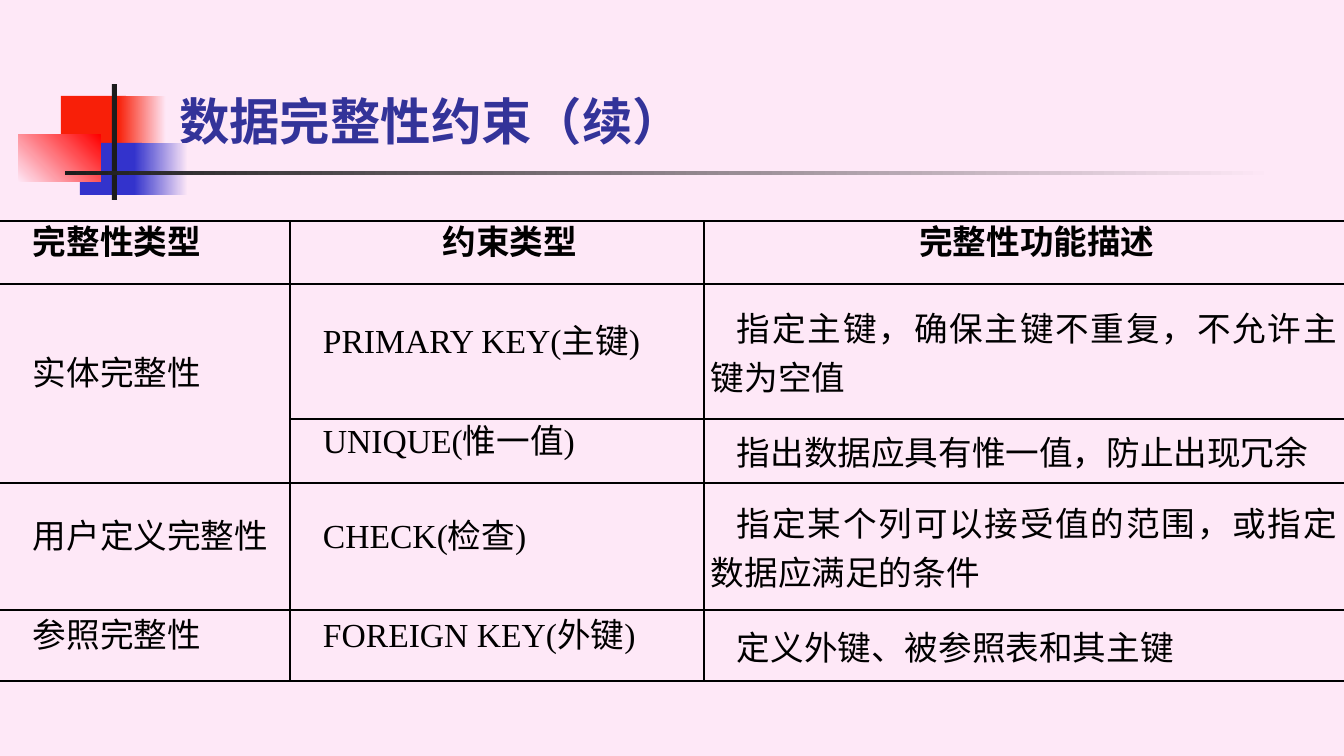
from lxml.etree import SubElement
from pptx import Presentation
from pptx.dml.color import RGBColor
from pptx.enum.shapes import MSO_SHAPE as Shape
from pptx.enum.text import MSO_ANCHOR as Anchor, PP_ALIGN as Align
from pptx.oxml.ns import qn
from pptx.util import Emu, Pt

PX = 914400 / 100.8
FONT = "Times New Roman"
PINK, RED, BLUE, DARK, BLACK = "FEE8F7", "F81F08", "3333CC", "1C1C1C", "000000"

# x, y, width, height, colour, optional end colour, optional angle
ORNAMENT = [
    (43, 12, 65, 52, RED),
    (100, 12, 48, 52, RED, PINK),
    (62, 59, 62, 52, BLUE),
    (116, 59, 54, 52, BLUE, PINK),
    (0, 51, 83, 47, PINK, "FF0000", 45),
    (94, 0, 5, 116, DARK),
    (47, 87, 1210, 4, DARK, PINK),
]
COLUMNS = [290, 414, 640]
ROWS = [63, 135, 64, 127, 71]
CONSTRAINTS = [
    ("完整性类型", "约束类型", "完整性功能描述"),
    ("实体完整性", "PRIMARY KEY(主键)", "指定主键，确保主键不重复，不允许主键为空值"),
    ("", "UNIQUE(惟一值)", "指出数据应具有惟一值，防止出现冗余"),
    ("用户定义完整性", "CHECK(检查)", "指定某个列可以接受值的范围，或指定数据应满足的条件"),
    ("参照完整性", "FOREIGN KEY(外键)", "定义外键、被参照表和其主键"),
]


def px(value):
    return Emu(round(value * PX))


def rgb(code):
    return RGBColor.from_string(code)


def style_text(para, size, color, bold):
    for span in para.runs:
        font = span.font
        font.name, font.size, font.bold = FONT, Pt(size), bold
        font.color.rgb = rgb(color)


def add_block(page, x, y, width, height, color, end_color=None, angle=0):
    block = page.shapes.add_shape(Shape.RECTANGLE, px(x), px(y), px(width), px(height))
    block.shadow.inherit = False
    block.line.fill.background()
    if end_color is None:
        block.fill.solid()
        block.fill.fore_color.rgb = rgb(color)
        return
    block.fill.gradient()
    block.fill.gradient_angle = angle
    for stop, code in zip(block.fill.gradient_stops, (color, end_color)):
        stop.color.rgb = rgb(code)


def add_ornament(page, left, top):
    for x, y, *rest in ORNAMENT:
        add_block(page, left + x, top + y, *rest)


def add_title(page, left, top, width, height, text):
    title = page.shapes.title
    title.left, title.top, title.width, title.height = map(px, (left, top, width, height))
    frame = title.text_frame
    frame.text = text
    frame.vertical_anchor = Anchor.BOTTOM
    para = frame.paragraphs[0]
    para.alignment = Align.LEFT
    style_text(para, 36, "333399", True)


def set_border(cell, side, points):
    """Draw one side of a cell; zero points leaves it open."""
    line = SubElement(cell._tc.get_or_add_tcPr(), qn(f"a:ln{side}"), w=str(Pt(points)))
    if points:
        fill = SubElement(line, qn("a:solidFill"))
        SubElement(fill, qn("a:srgbClr"), val=BLACK)
    else:
        SubElement(line, qn("a:noFill"))


def fill_cell(cell, text, row, column):
    # Outer sides are open left and right, heavier at top and bottom
    set_border(cell, "L", 1 if column else 0)
    set_border(cell, "R", 1 if column < len(COLUMNS) - 1 else 0)
    set_border(cell, "T", 1 if row else 1.5)
    set_border(cell, "B", 1 if row < len(ROWS) - 1 else 1.5)
    cell.fill.background()
    cell.margin_left = cell.margin_right = px(7)
    cell.margin_top = cell.margin_bottom = 0
    cell.vertical_anchor = Anchor.MIDDLE
    if not text:
        return
    cell.text = text
    para = cell.text_frame.paragraphs[0]
    para._p.get_or_add_pPr().set("indent", str(px(26)))
    para.alignment = Align.CENTER if row == 0 and column else Align.JUSTIFY
    if row == 0 or column < 2:
        para.line_spacing = Pt(17)
    style_text(para, 24, BLACK, row == 0)


def add_constraints(page, left, top):
    frame = page.shapes.add_table(len(ROWS), len(COLUMNS), px(left), px(top),
                                  px(sum(COLUMNS)), px(sum(ROWS)))
    table = frame.table
    table.first_row = table.horz_banding = False
    for column, width in zip(table.columns, COLUMNS):
        column.width = px(width)
    for row, height in zip(table.rows, ROWS):
        row.height = px(height)
    for r, texts in enumerate(CONSTRAINTS):
        for c, text in enumerate(texts):
            fill_cell(table.cell(r, c), text, r, c)
    table.cell(1, 0).merge(table.cell(2, 0))


def main():
    deck = Presentation()
    deck.slide_width, deck.slide_height = px(1344), px(756)
    page = deck.slides.add_slide(deck.slide_layouts[5])
    page.background.fill.solid()
    page.background.fill.fore_color.rgb = rgb(PINK)
    add_ornament(page, 18, 84)
    add_title(page, 169, 69, 1145, 87, "数据完整性约束（续）")
    add_constraints(page, 0, 221)
    deck.save("out.pptx")


if __name__ == "__main__":
    main()
